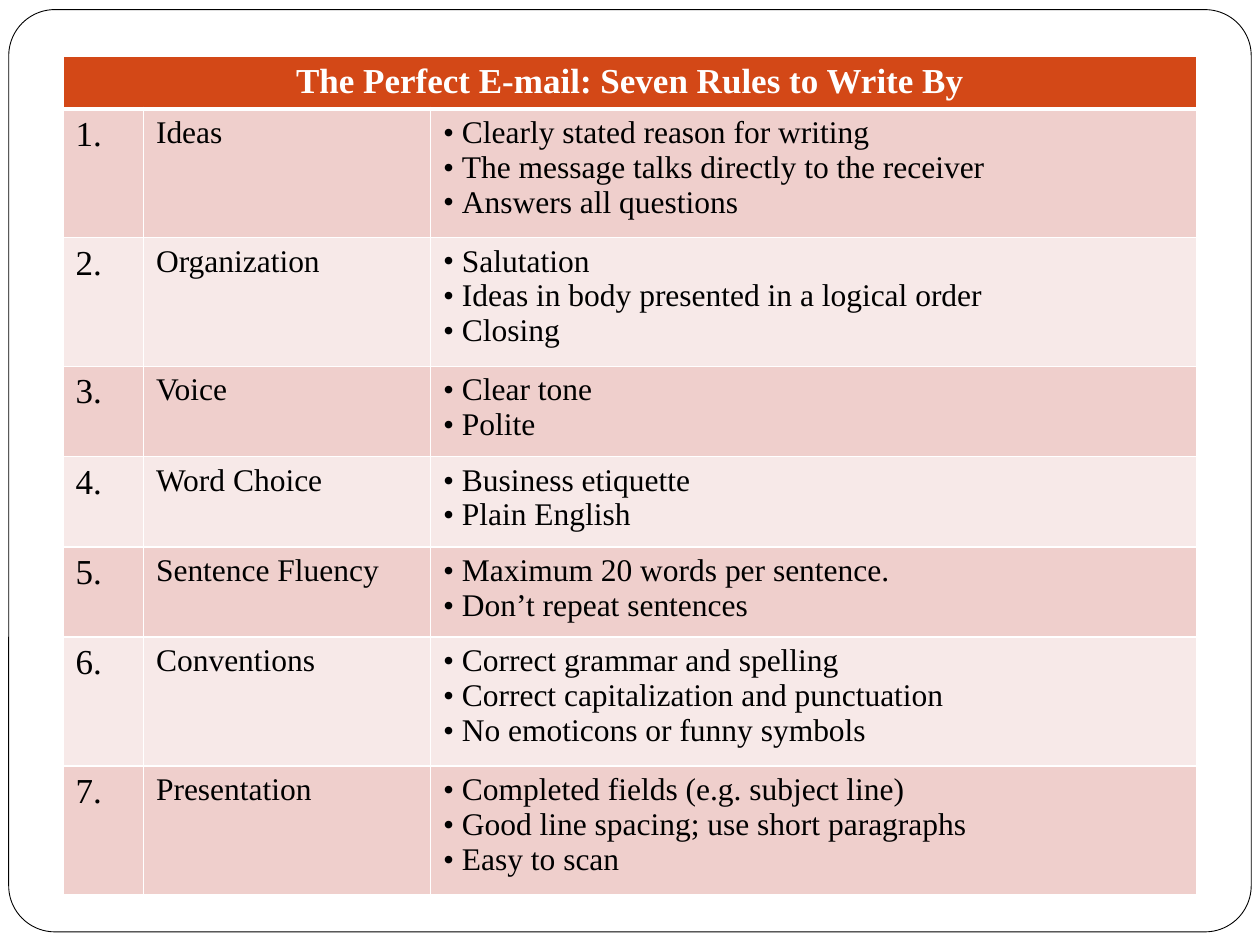
from lxml.etree import SubElement
from pptx import Presentation
from pptx.dml.color import RGBColor
from pptx.enum.shapes import MSO_SHAPE
from pptx.enum.text import PP_ALIGN
from pptx.oxml.ns import qn
from pptx.util import Pt

COLORS = {
    "paper": "FFFFFF",
    "ink": "000000",
    "header": "D34817",
    "odd": "EFCFCC",
    "even": "F7E9E8",
}
FONT = "Times New Roman"
TITLE = "The Perfect E-mail: Seven Rules to Write By"
RULES = [
    ("Ideas", ["Clearly stated reason for writing",
               "The message talks directly to the receiver",
               "Answers all questions"]),
    ("Organization", ["Salutation",
                      "Ideas in body presented in a logical order",
                      "Closing"]),
    ("Voice", ["Clear tone", "Polite"]),
    ("Word Choice", ["Business etiquette", "Plain English"]),
    ("Sentence Fluency", ["Maximum 20 words per sentence.",
                          "Don’t repeat sentences"]),
    ("Conventions", ["Correct grammar and spelling",
                     "Correct capitalization and punctuation",
                     "No emoticons or funny symbols"]),
    ("Presentation", ["Completed fields (e.g. subject line)",
                      "Good line spacing; use short paragraphs",
                      "Easy to scan"]),
]
COLUMN_SHARES = [46, 164, 438]
HEADER_HEIGHT = 30.2
ROW_HEIGHTS = {2: 51.6, 3: 73.6}  # by number of bullets
THIN, THICK = 1, 3


def color(name):
    return RGBColor.from_string(COLORS[name])


def add_frame(page, left, top, width, height):
    frame = page.shapes.add_shape(MSO_SHAPE.ROUNDED_RECTANGLE,
                                  Pt(left), Pt(top), Pt(width), Pt(height))
    frame.adjustments[0] = 0.05
    frame.shadow.inherit = False
    frame.fill.solid()
    frame.fill.fore_color.rgb = color("paper")
    frame.line.color.rgb = color("ink")
    frame.line.width = Pt(0.5)


def style_cell(cell, fill, top=THIN, bottom=THIN):
    """Draw the four white borders, then fill the cell."""
    properties = cell._tc.get_or_add_tcPr()
    for side, width in zip("LRTB", (THIN, THIN, top, bottom)):
        line = SubElement(properties, qn(f"a:ln{side}"), w=str(Pt(width)))
        solid = SubElement(line, qn("a:solidFill"))
        SubElement(solid, qn("a:srgbClr"), val=COLORS["paper"])
    cell.fill.solid()
    cell.fill.fore_color.rgb = color(fill)


def write(para, text, size, ink="ink", bold=False):
    span = para.add_run()
    span.text = text
    span.font.name = FONT
    span.font.size = Pt(size)
    span.font.bold = bold
    span.font.color.rgb = color(ink)


def hang(para, indent, bullet=None):
    """Give the paragraph a hanging indent and, if asked, a bullet."""
    properties = para._p.get_or_add_pPr()
    properties.set("marL", str(Pt(indent)))
    properties.set("indent", str(-Pt(indent)))
    if bullet:
        SubElement(properties, qn("a:buFont"), typeface=FONT)
        SubElement(properties, qn("a:buChar"), char=bullet)


def fill_rule_row(cells, number, name, points):
    for cell in cells:
        style_cell(cell, "odd" if number % 2 else "even",
                   top=THICK if number == 1 else THIN)
    number_cell, name_cell, points_cell = cells

    para = number_cell.text_frame.paragraphs[0]
    hang(para, 27)
    write(para, f"{number}.", 20)

    write(name_cell.text_frame.paragraphs[0], name, 18)

    frame = points_cell.text_frame
    for index, point in enumerate(points):
        para = frame.add_paragraph() if index else frame.paragraphs[0]
        hang(para, 10.8, "•")
        write(para, point, 18)


def add_rules_table(page, left, top, width):
    heights = [HEADER_HEIGHT] + [ROW_HEIGHTS[len(points)] for _, points in RULES]
    table = page.shapes.add_table(len(heights), len(COLUMN_SHARES), Pt(left),
                                  Pt(top), Pt(width), Pt(sum(heights))).table
    for column, share in zip(table.columns, COLUMN_SHARES):
        column.width = Pt(width * share / sum(COLUMN_SHARES))
    for row, height in zip(table.rows, heights):
        row.height = Pt(height)

    for cell in table.rows[0].cells:
        style_cell(cell, "header", bottom=THICK)
    title_cell = table.cell(0, 0)
    title_cell.merge(table.cell(0, len(COLUMN_SHARES) - 1))
    para = title_cell.text_frame.paragraphs[0]
    para.alignment = PP_ALIGN.CENTER
    write(para, TITLE, 20, "paper", bold=True)

    for number, (name, points) in enumerate(RULES, start=1):
        fill_rule_row(list(table.rows[number].cells), number, name, points)


def main():
    deck = Presentation()
    deck.slide_width, deck.slide_height = Pt(720), Pt(540)
    page = deck.slides.add_slide(deck.slide_layouts[6])
    page.background.fill.solid()
    page.background.fill.fore_color.rgb = color("paper")
    add_frame(page, 5, 5.5, 710, 527)
    add_rules_table(page, 36, 32, 648)
    deck.save("out.pptx")


if __name__ == "__main__":
    main()
